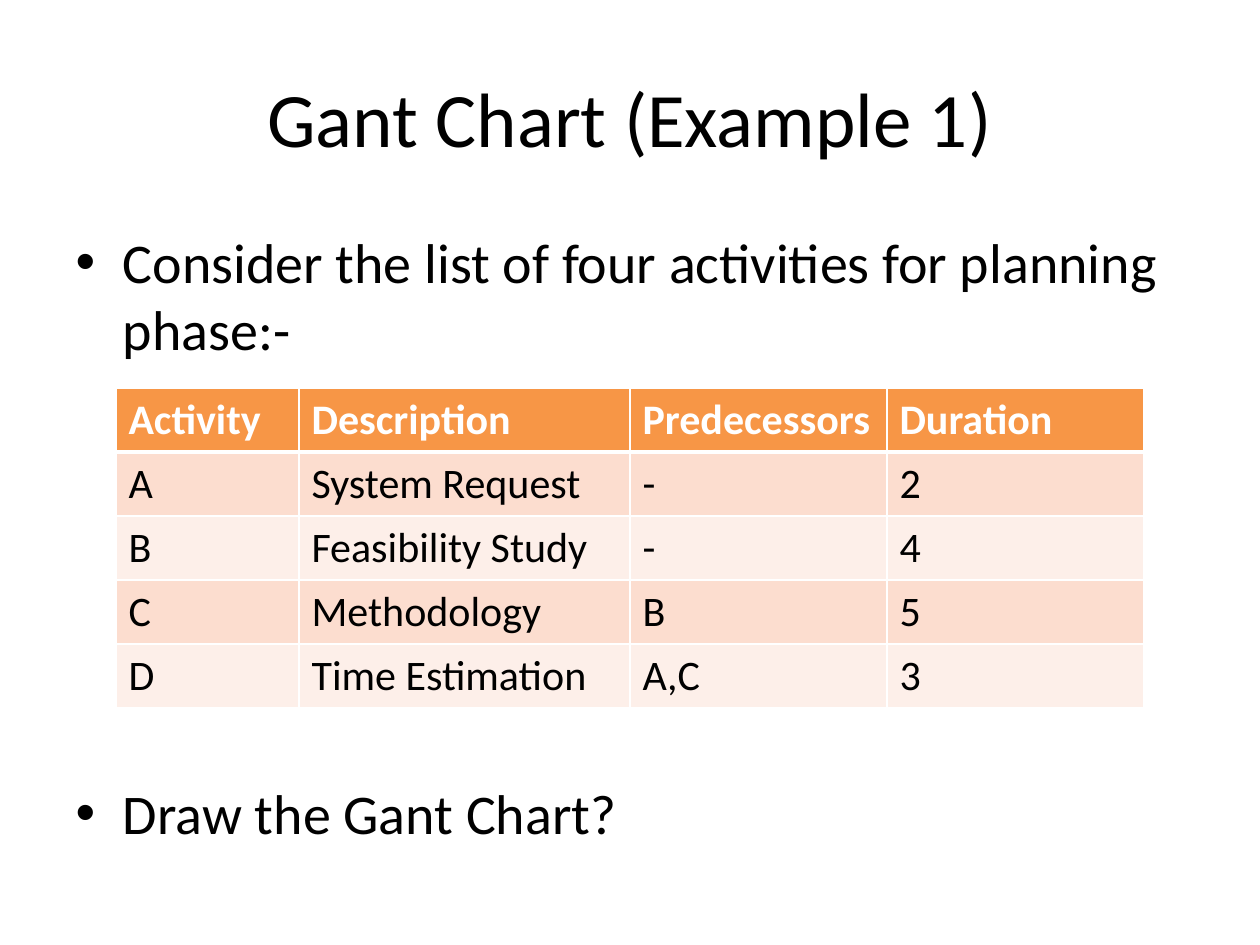
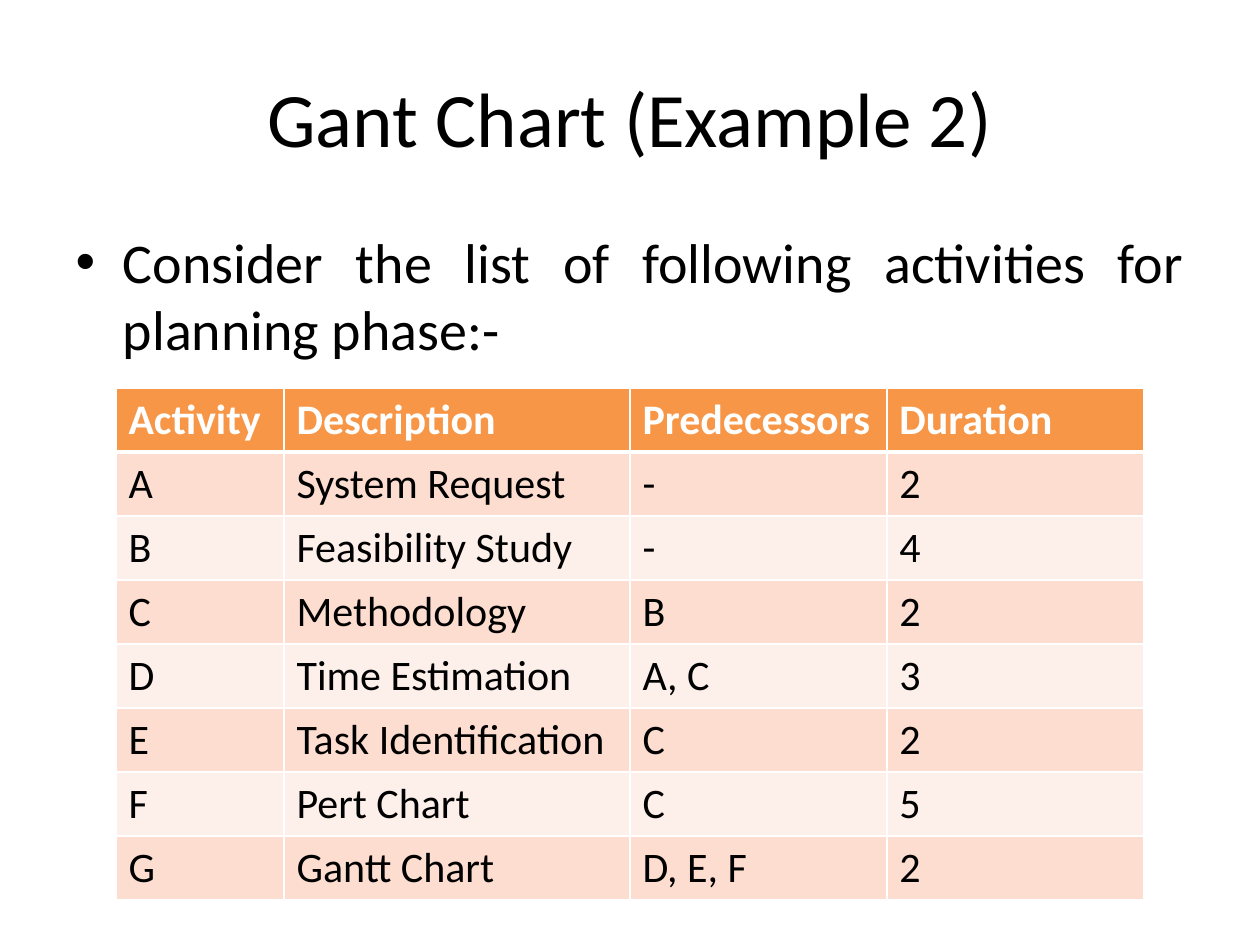
from lxml.etree import SubElement as Sub
from pptx import Presentation
from pptx.dml.color import RGBColor as Rgb
from pptx.enum.text import MSO_ANCHOR as Anchor, MSO_AUTO_SIZE as Fit, PP_ALIGN as Align
from pptx.oxml.ns import qn
from pptx.util import Pt

HEAD = ("Activity", "Description", "Predecessors", "Duration")
SLIDES = [
    {
        "title": "Gant Chart (Example 1)",
        "points": ["Consider the list of four activities for planning phase:-",
                   "Draw the Gant Chart?"],
        "align": Align.LEFT,
        "cols": (183, 331, 257, 257),
        "rows": [
            ("A", "System Request", "-", "2"),
            ("B", "Feasibility Study", "-", "4"),
            ("C", "Methodology", "B", "5"),
            ("D", "Time Estimation", "A,C", "3"),
        ],
    },
    {
        "title": "Gant Chart (Example 2)",
        "points": ["Consider the list of following activities for planning phase:-"],
        "align": Align.JUSTIFY,
        "cols": (168, 346, 257, 257),
        "rows": [
            ("A", "System Request", "-", "2"),
            ("B", "Feasibility Study", "-", "4"),
            ("C", "Methodology", "B", "2"),
            ("D", "Time Estimation", "A, C", "3"),
            ("E", "Task Identification", "C", "2"),
            ("F", "Pert Chart", "C", "5"),
            ("G", "Gantt Chart", "D, E, F", "2"),
        ],
    },
]

INK = {"text": "000000", "line": "FFFFFF", "head": "F79646",
       "odd": "FCDDCF", "even": "FDEFE9"}
FONT = "Calibri"
SIZE = {"title": 44, "body": 32, "cell": 24}
TITLE = (63, 38, 1134, 157)
BODY = (63, 221, 1134, 624)
LEFT, TOP, ROW = 116, 388, 64
GAP = 238


def px(num):
    return round(num * 914400 / 126)


def style(para, size, ink="text", bold=False):
    for run in para.runs:
        font = run.font
        font.name, font.size, font.bold = FONT, Pt(size), bold
        font.color.rgb = Rgb.from_string(INK[ink])


def place(shape, box):
    shape.left, shape.top, shape.width, shape.height = map(px, box)
    shape.text_frame.auto_size = Fit.NONE


def edge(cell, row):
    props = cell._tc.get_or_add_tcPr()
    thick = {"lnT": row == 1, "lnB": row == 0}
    for side in ("lnL", "lnR", "lnT", "lnB"):
        line = Sub(props, qn("a:" + side), w=str(Pt(3 if thick.get(side) else 1)))
        fill = Sub(line, qn("a:solidFill"))
        Sub(fill, qn("a:srgbClr"), val=INK["line"])


def add_title(slide, text):
    shape = slide.shapes.title
    place(shape, TITLE)
    frame = shape.text_frame
    frame.text = text
    frame.vertical_anchor = Anchor.MIDDLE
    frame.paragraphs[0].alignment = Align.CENTER
    style(frame.paragraphs[0], SIZE["title"])


def add_body(slide, points, align):
    shape = slide.placeholders[1]
    place(shape, BODY)
    frame = shape.text_frame
    frame.text = "\n".join(points)
    for num, para in enumerate(frame.paragraphs):
        para.alignment = align
        if num:
            para.space_before = Pt(GAP)
        style(para, SIZE["body"])


def add_grid(slide, cols, rows):
    data = [HEAD, *rows]
    box = map(px, (LEFT, TOP, sum(cols), ROW * len(data)))
    grid = slide.shapes.add_table(len(data), len(cols), *box).table
    for col, width in zip(grid.columns, cols):
        col.width = px(width)
    for r, row in enumerate(data):
        grid.rows[r].height = px(ROW)
        band = "head" if r == 0 else "odd" if r % 2 else "even"
        for c, text in enumerate(row):
            cell = grid.cell(r, c)
            edge(cell, r)
            cell.fill.solid()
            cell.fill.fore_color.rgb = Rgb.from_string(INK[band])
            cell.text_frame.text = text
            style(cell.text_frame.paragraphs[0], SIZE["cell"],
                  "text" if r else "line", r == 0)


def main():
    """Build the two planning slides and save them."""
    deck = Presentation()
    deck.slide_width, deck.slide_height = px(1260), px(945)
    for page in SLIDES:
        slide = deck.slides.add_slide(deck.slide_layouts[1])
        add_title(slide, page["title"])
        add_body(slide, page["points"], page["align"])
        add_grid(slide, page["cols"], page["rows"])
    deck.save("out.pptx")


if __name__ == "__main__":
    main()
